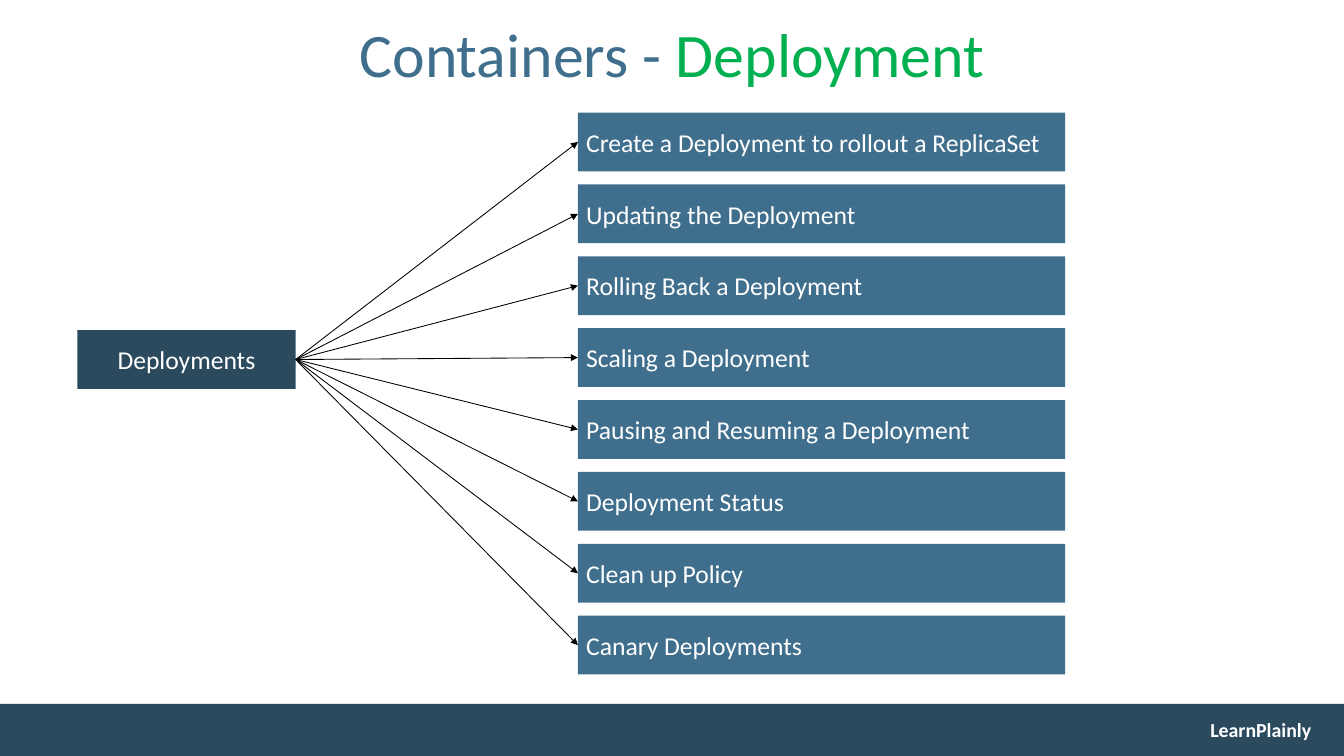
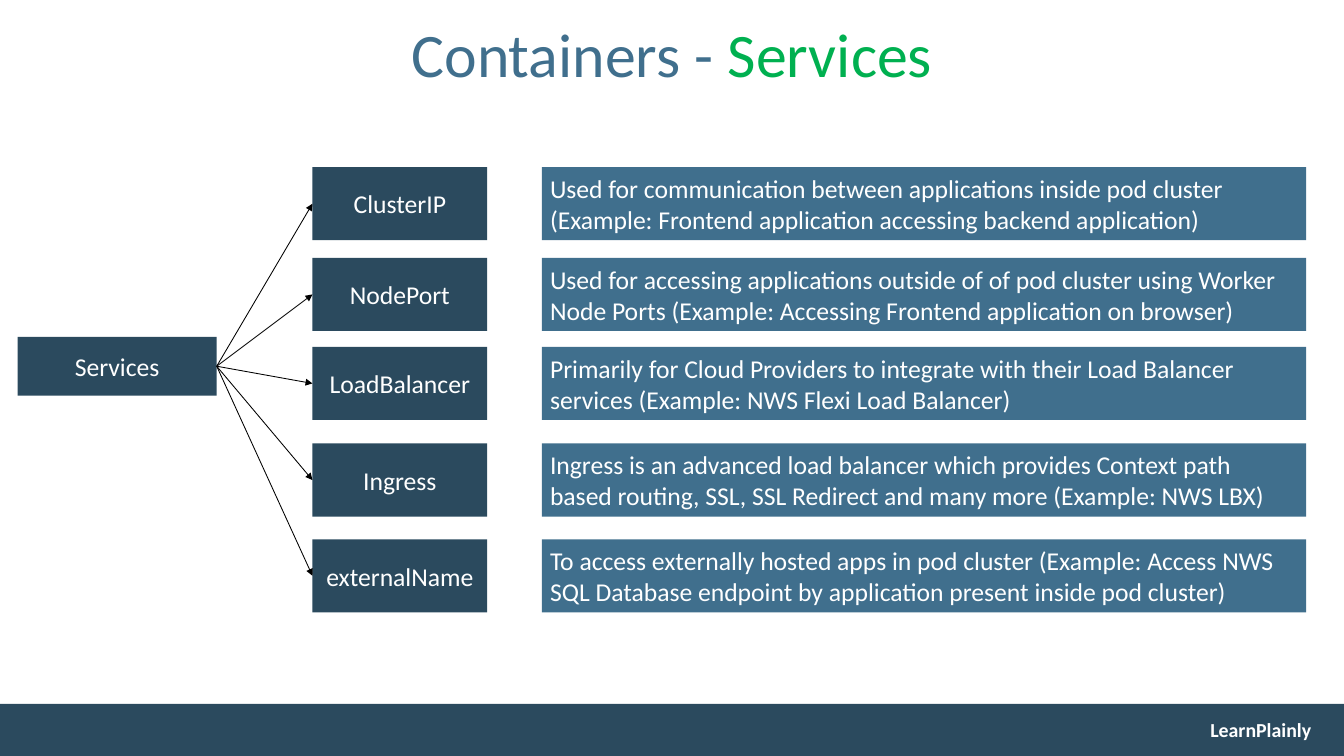
from pptx import Presentation, util as u
from pptx.dml.color import RGBColor
from pptx.enum import shapes, text
from pptx.oxml import parse_xml
from pptx.oxml.ns import nsdecls

NAVY = RGBColor(0x2B, 0x4A, 0x5E)
BLUE = RGBColor(0x40, 0x6F, 0x8D)
GREEN = RGBColor(0x00, 0xB0, 0x50)
WHITE = RGBColor(0xFF, 0xFF, 0xFF)
BLACK = RGBColor(0, 0, 0)
FONT = "Calibri"
WIDE, HIGH = 16, 9
LEFT, MID = text.PP_ALIGN.LEFT, text.PP_ALIGN.CENTER

# Content
TOPIC = "Containers - "
BRAND = "LearnPlainly"
TASKS = [
    "Create a Deployment to rollout a ReplicaSet",
    "Updating the Deployment",
    "Rolling Back a Deployment",
    "Scaling a Deployment",
    "Pausing and Resuming a Deployment",
    "Deployment Status",
    "Clean up Policy",
    "Canary Deployments",
]
# Row top, service, use
KINDS = [
    (1.99, "ClusterIP", "Used for communication between applications inside pod cluster "
     "(Example: Frontend application accessing backend application)"),
    (3.07, "NodePort", "Used for accessing applications outside of of pod cluster using Worker "
     "Node Ports (Example: Accessing Frontend application on browser)"),
    (4.13, "LoadBalancer", "Primarily for Cloud Providers to integrate with their Load Balancer "
     "services (Example: NWS Flexi Load Balancer)"),
    (5.28, "Ingress", "Ingress is an advanced load balancer which provides Context path "
     "based routing, SSL, SSL Redirect and many more (Example: NWS LBX)"),
    (6.42, "externalName", "To access externally hosted apps in pod cluster (Example: Access NWS "
     "SQL Database endpoint by application present inside pod cluster)"),
]


def write(shape, runs, size=22, align=MID, bold=False, pad=(0.1, 0.05), lead=None):
    """Fill a shape with one paragraph of (words, colour) runs."""
    frame = shape.text_frame
    frame.word_wrap = True
    frame.vertical_anchor = text.MSO_ANCHOR.MIDDLE
    frame.margin_left = frame.margin_right = u.Inches(pad[0])
    frame.margin_top = frame.margin_bottom = u.Inches(pad[1])
    para = frame.paragraphs[0]
    para.alignment = align
    if lead:
        para.line_spacing = lead
    for words, colour in runs:
        run = para.add_run()
        run.text = words
        run.font.name, run.font.size, run.font.bold = FONT, u.Pt(size), bold
        run.font.color.rgb = colour


def label(slide, place, runs, **style):
    write(slide.shapes.add_textbox(*map(u.Inches, place)), runs, pad=(0.12, 0.06), **style)


def box(slide, place, words="", fill=NAVY, align=MID):
    shape = slide.shapes.add_shape(shapes.MSO_SHAPE.RECTANGLE, *map(u.Inches, place))
    shape.shadow.inherit = False
    shape.fill.solid()
    shape.fill.fore_color.rgb = fill
    shape.line.fill.background()
    if words:
        write(shape, [(words, WHITE)], align=align)
    return shape


def arrow(slide, start, end):
    """Join the right side of start to the left side of end."""
    line = slide.shapes.add_connector(shapes.MSO_CONNECTOR.STRAIGHT, 0, 0, 0, 0)
    line.begin_connect(start, 3)
    line.end_connect(end, 1)
    line.line.color.rgb = BLACK
    line.line.width = u.Pt(0.75)
    line.line._get_or_add_ln().append(
        parse_xml(f'<a:tailEnd {nsdecls("a")} type="triangle"/>'))
    line._element.spPr.append(parse_xml(f'<a:effectLst {nsdecls("a")}/>'))


def page(deck, name):
    """Add a slide with the shared band, footer and title."""
    slide = deck.slides.add_slide(deck.slide_layouts[6])
    box(slide, (0, 8.38, WIDE, 0.62))
    label(slide, (14.06, 8.44, 1.9, 0.48), [(BRAND, WHITE)], size=17, bold=True)
    label(slide, (1.1, 0.04, 13.8, 1.3), [(TOPIC, BLUE), (name, GREEN)], size=53, lead=0.9)
    return slide


def deploy(deck):
    slide = page(deck, "Deployment")
    root = box(slide, (0.92, 3.93, 2.6, 0.7), "Deployments")
    top, last = 1.34, 7.33
    step = (last - top) / (len(TASKS) - 1)
    for row, task in enumerate(TASKS):
        arrow(slide, root, box(slide, (6.88, top + row * step, 5.8, 0.7), task, BLUE, LEFT))


def serve(deck):
    slide = page(deck, "Services")
    root = box(slide, (0.21, 4.01, 2.37, 0.7), "Services")
    for top, kind, use in KINDS:
        arrow(slide, root, box(slide, (3.72, top, 2.08, 0.87), kind))
        box(slide, (6.45, top, 9.1, 0.87), use, BLUE, LEFT)


def main():
    deck = Presentation()
    deck.slide_width, deck.slide_height = u.Inches(WIDE), u.Inches(HIGH)
    deploy(deck)
    serve(deck)
    deck.save("out.pptx")


if __name__ == "__main__":
    main()
